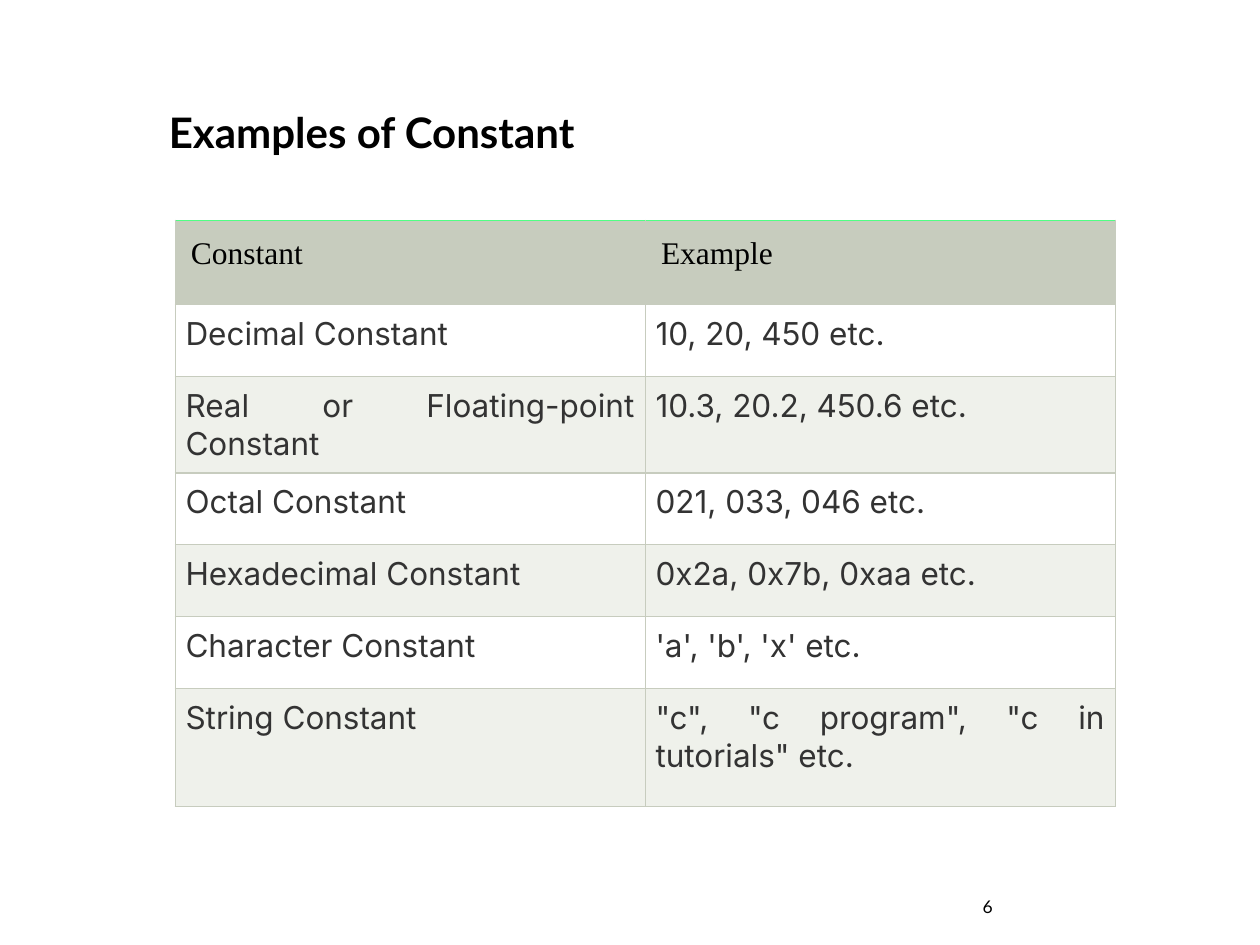
from pptx import Presentation
from pptx.dml.color import RGBColor
from pptx.enum.text import MSO_ANCHOR as Anchor, MSO_AUTO_SIZE as AutoSize, PP_ALIGN as Align
from pptx.oxml.ns import qn
from pptx.util import Cm, Pt
from lxml.etree import SubElement

COLORS = {
    "black": "000000",
    "text": "333333",
    "header": "C7CCBE",
    "line": "C7CCBE",
    "accent": "50FF84",
    "plain": "FFFFFF",
    "band": "EFF1EB",
}
HEADER = ("Constant", "Example")
EXAMPLES = [
    ("Decimal Constant", "10, 20, 450 etc."),
    ("Real or Floating-point Constant", "10.3, 20.2, 450.6 etc."),
    ("Octal Constant", "021, 033, 046 etc."),
    ("Hexadecimal Constant", "0x2a, 0x7b, 0xaa etc."),
    ("Character Constant", "'a', 'b', 'x' etc."),
    ("String Constant", '"c", "c program", "c in tutorials" etc.'),
]


def color(name):
    return RGBColor.from_string(COLORS[name])


class SlideBuilder:
    """Holds the text style and the page being filled."""

    title_font = "Lato"
    header_font = "Times New Roman"
    body_font = "Inter"
    table_size = 18

    def __init__(self, page):
        self.page = page

    def style(self, para, font, size, shade, bold=False, align=Align.LEFT):
        para.alignment = align
        for span in para.runs:
            span.font.name = font
            span.font.size = Pt(size)
            span.font.bold = bold
            span.font.color.rgb = color(shade)

    def title(self, text, left, top, width, height):
        box = self.page.shapes.title
        box.left, box.top, box.width, box.height = left, top, width, height
        frame = box.text_frame
        frame.text = text
        frame.word_wrap = True
        frame.auto_size = AutoSize.SHAPE_TO_FIT_TEXT
        frame.vertical_anchor = Anchor.TOP
        self.style(frame.paragraphs[0], self.title_font, 24, "black", bold=True)

    def page_number(self, text, left, top, width, height):
        frame = self.page.shapes.add_textbox(left, top, width, height).text_frame
        frame.text = text
        frame.word_wrap = True
        frame.vertical_anchor = Anchor.BOTTOM
        self.style(frame.paragraphs[0], self.title_font, 10, "black")

    def borders(self, cell, top="line"):
        properties = cell._tc.get_or_add_tcPr()
        sides = {"lnL": "line", "lnR": "line", "lnT": top, "lnB": "line"}
        for place, (side, shade) in enumerate(sides.items()):
            line = SubElement(properties, qn(f"a:{side}"), w=str(Pt(0.75)))
            fill = SubElement(line, qn("a:solidFill"))
            SubElement(fill, qn("a:srgbClr"), val=COLORS[shade])
            properties.insert(place, line)

    def cell(self, cell, text, row):
        is_header = row == 0
        cell.text = text
        margin = Cm(0.32) if is_header else Cm(0.21)
        cell.margin_left = cell.margin_right = margin
        cell.margin_top = cell.margin_bottom = margin
        cell.fill.solid()
        para = cell.text_frame.paragraphs[0]
        if is_header:
            cell.fill.fore_color.rgb = color("header")
            self.style(para, self.header_font, self.table_size, "black")
        else:
            cell.fill.fore_color.rgb = color("plain" if row % 2 else "band")
            self.style(para, self.body_font, self.table_size, "text", align=Align.JUSTIFY)
        self.borders(cell, top="accent" if is_header else "line")

    def table(self, rows, heights, left, top, width):
        frame = self.page.shapes.add_table(
            len(rows), len(rows[0]), left, top, width, sum(heights))
        grid = frame.table
        for index, (texts, height) in enumerate(zip(rows, heights)):
            grid.rows[index].height = height
            for column, text in enumerate(texts):
                self.cell(grid.cell(index, column), text, index)


def main():
    deck = Presentation()
    deck.slide_width, deck.slide_height = Cm(25.4), Cm(19.05)
    builder = SlideBuilder(deck.slides.add_slide(deck.slide_layouts[5]))
    builder.title("Examples of Constant", Cm(3.15), Cm(2.01), Cm(14.3), Cm(1.27))
    heights = [Cm(1.7)] + [Cm(1.45)] * (len(EXAMPLES) - 1) + [Cm(2.38)]
    builder.table([HEADER] + EXAMPLES, heights, Cm(3.53), Cm(4.44), Cm(18.95))
    builder.page_number("6", Cm(19.56), Cm(17.35), Cm(5.28), Cm(1.27))
    deck.save("out.pptx")


if __name__ == "__main__":
    main()
